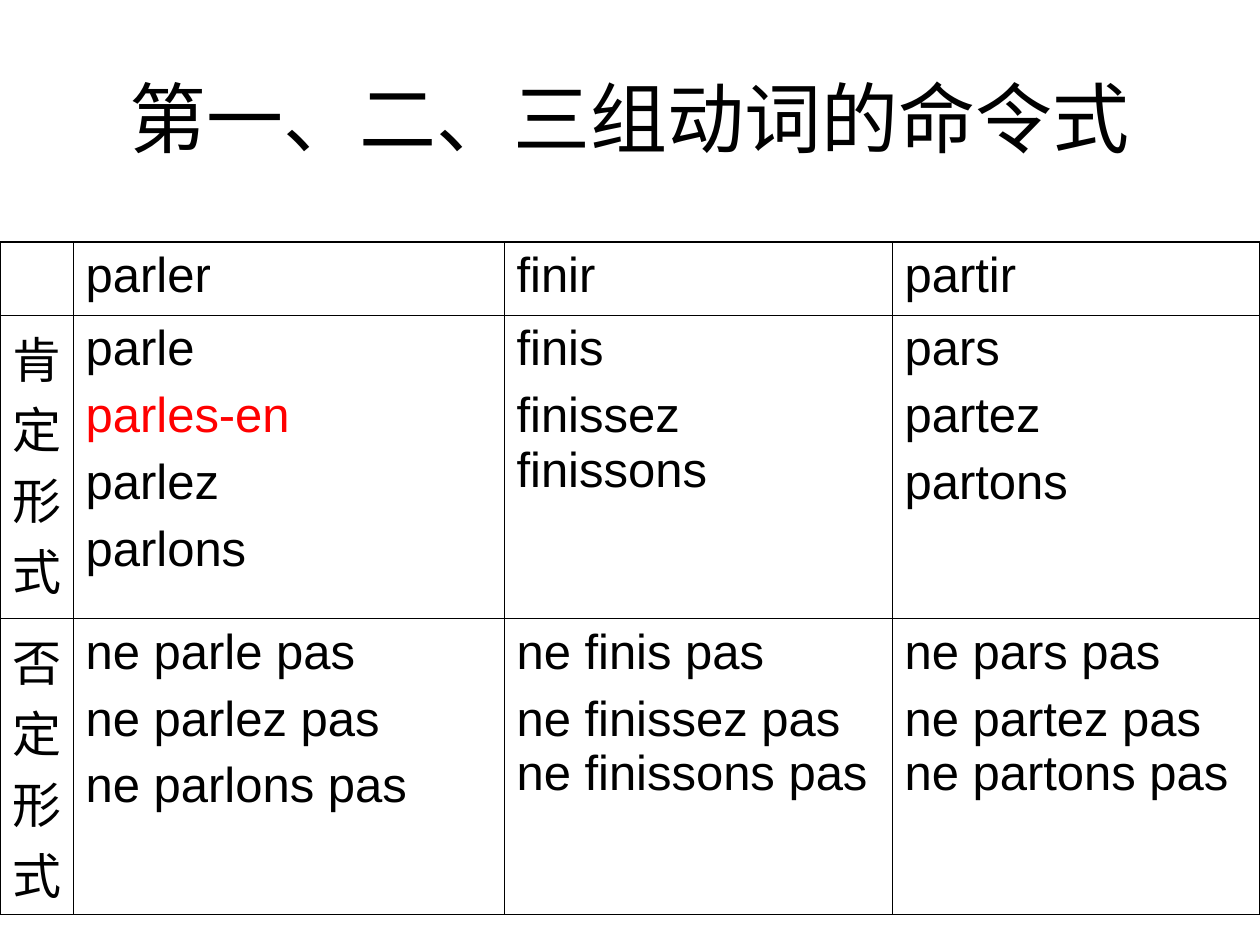
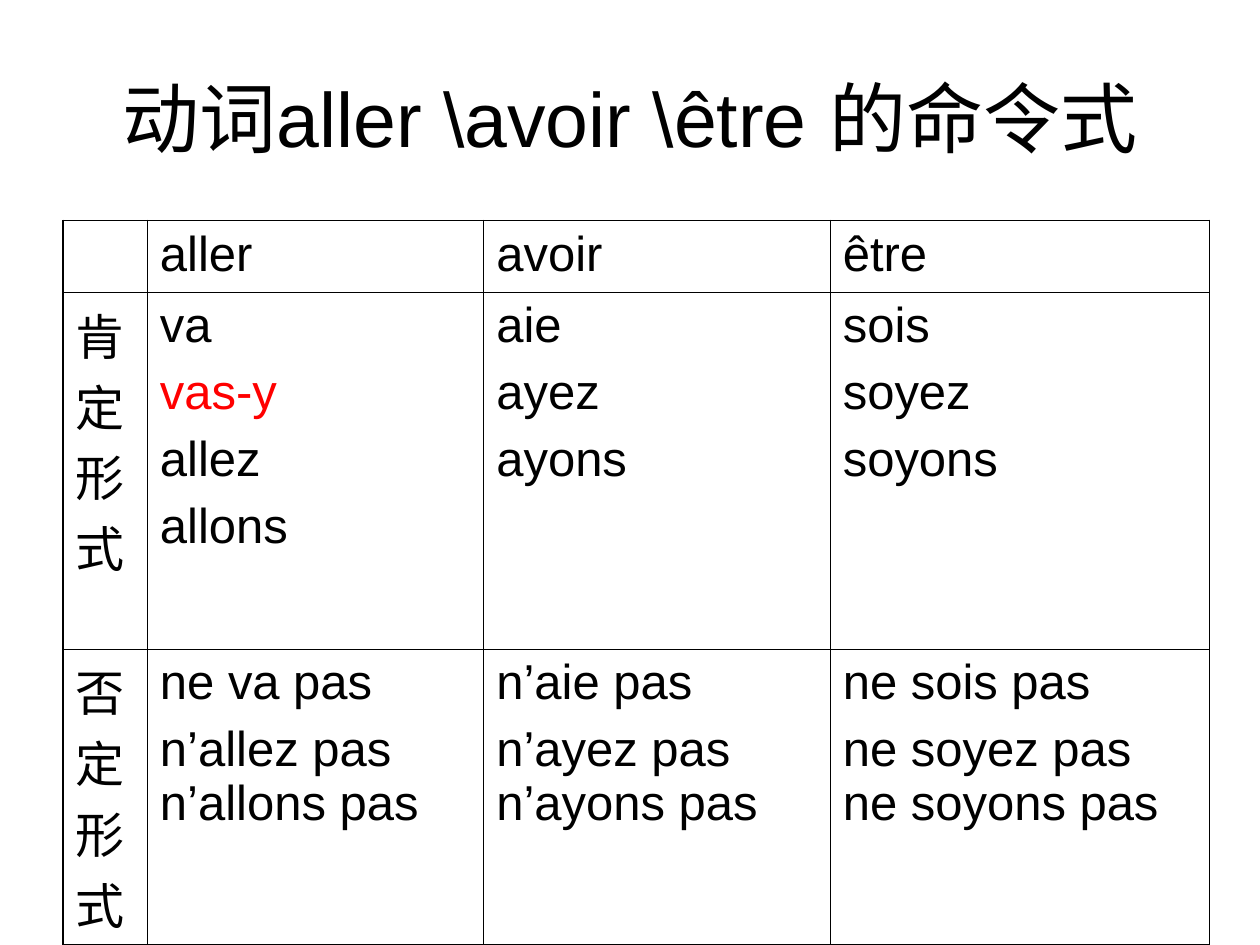
from lxml.etree import SubElement
from pptx import Presentation
from pptx.dml.color import RGBColor
from pptx.enum.text import MSO_ANCHOR, MSO_AUTO_SIZE, PP_ALIGN
from pptx.oxml.ns import qn
from pptx.util import Pt

COLORS = {"text": "000000", "irregular": "FF0000"}
FONT = "Arial"
TITLE_BOX = {"left": 36, "top": 21.6, "width": 648, "height": 90}
TITLE_FRAME = {"word_wrap": True, "auto_size": MSO_AUTO_SIZE.NONE,
               "vertical_anchor": MSO_ANCHOR.MIDDLE}
TITLE_SIZE, CELL_SIZE, SPACE_BEFORE = 44, 28, 7
OUTER_LINE, INNER_LINE = 1.08, 0.45
IRREGULAR_FORMS = {"parles-en", "vas-y"}

SLIDES = [
    {
        "title": "第一、二、三组动词的命令式",
        "origin": (0, 138.24),
        "cols": [41.76, 246.24, 221.76, 210.24],
        "heights": [41.76, 173.52, 162.72],
        "rows": [
            [[], ["parler"], ["finir"], ["partir"]],
            [["肯定形式"],
             ["parle", "parles-en", "parlez", "parlons"],
             ["finis", "finissez finissons"],
             ["pars", "partez", "partons"]],
            [["否定形式"],
             ["ne parle pas", "ne parlez pas", "ne parlons pas"],
             ["ne finis pas", "ne finissez pas ne finissons pas"],
             ["ne pars pas", "ne partez pas ne partons pas"]],
        ],
    },
    {
        "title": "动词aller \\avoir \\être 的命令式",
        "origin": (36, 126),
        "cols": [48.24, 192.24, 198, 216.72],
        "heights": [41.04, 203.76, 155.52],
        "rows": [
            [[], ["aller"], ["avoir"], ["être"]],
            [["肯定形式"],
             ["va", "vas-y", "allez", "allons"],
             ["aie", "ayez", "ayons"],
             ["sois", "soyez", "soyons"]],
            [["否定形式"],
             ["ne va pas", "n’allez pas n’allons pas"],
             ["n’aie pas", "n’ayez pas n’ayons pas"],
             ["ne sois pas", "ne soyez pas ne soyons pas"]],
        ],
    },
]


def set_attrs(target, values):
    for name, value in values.items():
        setattr(target, name, value)


def add_text(p, text, size, color="text"):
    r = p.add_run()
    r.text = text
    set_attrs(r.font, {"name": FONT, "size": Pt(size), "bold": False})
    r.font.color.rgb = RGBColor.from_string(COLORS[color])


def add_title(slide, text):
    title = slide.shapes.title
    set_attrs(title, {name: Pt(value) for name, value in TITLE_BOX.items()})
    tf = title.text_frame
    set_attrs(tf, TITLE_FRAME)
    p = tf.paragraphs[0]
    p.alignment = PP_ALIGN.CENTER
    add_text(p, text, TITLE_SIZE)


def set_borders(cell, outer_sides):
    tcPr = cell._tc.get_or_add_tcPr()
    for side, is_outer in outer_sides.items():
        width = OUTER_LINE if is_outer else INNER_LINE
        ln = SubElement(tcPr, qn(f"a:ln{side}"), w=str(int(Pt(width))))
        fill = SubElement(ln, qn("a:solidFill"))
        SubElement(fill, qn("a:srgbClr"), val=COLORS["text"])


def fill_cell(cell, forms):
    tf = cell.text_frame
    for i, form in enumerate(forms):
        p = tf.add_paragraph() if i else tf.paragraphs[0]
        p.space_before = Pt(SPACE_BEFORE if i else 0)
        add_text(p, form, CELL_SIZE,
                 "irregular" if form in IRREGULAR_FORMS else "text")


def add_verb_table(slide, content):
    rows, cols, heights = content["rows"], content["cols"], content["heights"]
    left, top = content["origin"]
    table = slide.shapes.add_table(
        len(rows), len(cols), Pt(left), Pt(top),
        Pt(sum(cols)), Pt(sum(heights))).table
    set_attrs(table, {"first_row": False, "horz_banding": False})
    for col, width in zip(table.columns, cols):
        col.width = Pt(width)
    for row, height in zip(table.rows, heights):
        row.height = Pt(height)
    for i, row in enumerate(rows):
        for j, forms in enumerate(row):
            cell = table.cell(i, j)
            set_borders(cell, {"L": j == 0, "R": j == len(cols) - 1,
                               "T": i == 0, "B": i == len(rows) - 1})
            cell.fill.background()
            fill_cell(cell, forms)


def main():
    prs = Presentation()
    set_attrs(prs, {"slide_width": Pt(720), "slide_height": Pt(540)})
    for content in SLIDES:
        s = prs.slides.add_slide(prs.slide_layouts[5])
        add_title(s, content["title"])
        add_verb_table(s, content)
    prs.save("out.pptx")


if __name__ == "__main__":
    main()
